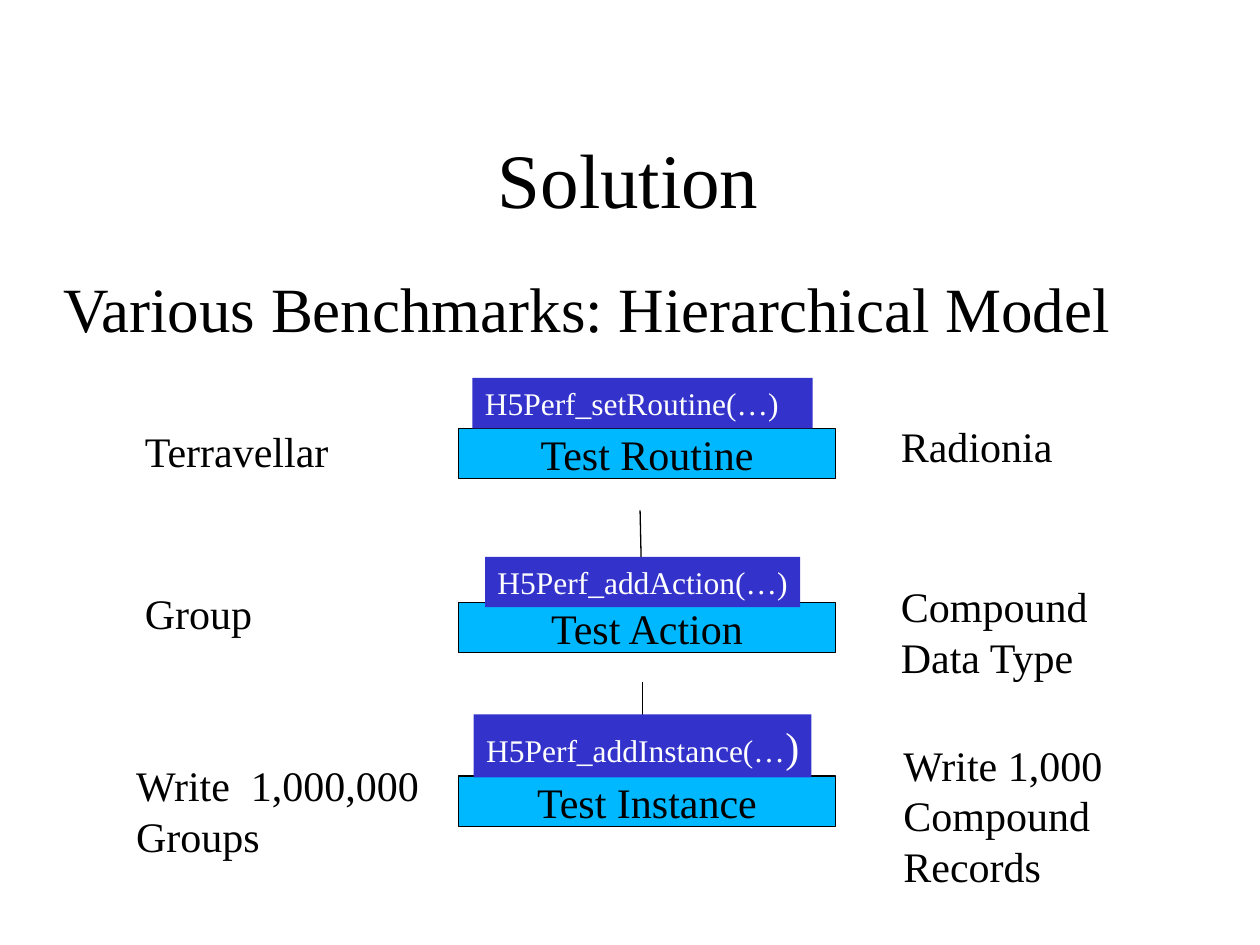
from dataclasses import dataclass

from pptx import Presentation
from pptx.dml.color import RGBColor
from pptx.enum.shapes import MSO_CONNECTOR, MSO_SHAPE
from pptx.enum.text import MSO_ANCHOR, MSO_AUTO_SIZE, PP_ALIGN
from pptx.oxml.ns import qn
from pptx.util import Inches, Pt
from lxml import etree

LEFT, CENTER = PP_ALIGN.LEFT, PP_ALIGN.CENTER
TOP, MIDDLE = MSO_ANCHOR.TOP, MSO_ANCHOR.MIDDLE
NO_FIT = MSO_AUTO_SIZE.NONE
RECT, ROUNDED = MSO_SHAPE.RECTANGLE, MSO_SHAPE.ROUNDED_RECTANGLE
STRAIGHT = MSO_CONNECTOR.STRAIGHT


@dataclass(frozen=True)
class Theme:
    font: str = "Times New Roman"
    ink: RGBColor = RGBColor(0x00, 0x00, 0x00)
    call_ink: RGBColor = RGBColor(0xFF, 0xFF, 0xFF)
    level_fill: RGBColor = RGBColor(0x00, 0xB8, 0xFF)
    call_fill: RGBColor = RGBColor(0x33, 0x33, 0xCC)
    title_size: int = 44
    heading_size: int = 36
    label_size: int = 24
    call_size: int = 18
    leading: float = 1.2
    heading_leading: float = 1.14
    line_width: float = 0.75


@dataclass(frozen=True)
class Box:
    left: float
    top: float
    width: float
    height: float

    def lengths(self) -> tuple:
        return tuple(map(Inches, (self.left, self.top, self.width, self.height)))


@dataclass(frozen=True)
class Label:
    text: str
    box: Box


@dataclass(frozen=True)
class Call:
    runs: tuple  # (text, size) pairs
    box: Box


@dataclass(frozen=True)
class Link:
    start: tuple
    end: tuple


THEME = Theme()
BAR_LEFT, BAR_TOP, BAR_PITCH = 3.64, 3.4, 1.38
BAR_WIDTH, BAR_HEIGHT = 2.99, 0.4

LEVELS = ("Test Routine", "Test Action", "Test Instance")
LINKS = (Link((5.08, 4.05), (5.09, 4.5)), Link((5.1, 5.41), (5.1, 5.87)))
EXAMPLES = (
    Label("Radionia", Box(7.15, 3.34, 1.82, 0.4)),
    Label("Compound Data Type", Box(7.15, 4.61, 1.82, 0.8)),
    Label("Write 1,000 Compound Records", Box(7.17, 5.87, 2.42, 1.2)),
    Label("Terravellar", Box(1.15, 3.38, 1.82, 0.4)),
    Label("Group", Box(1.15, 4.66, 1.82, 0.4)),
    Label("Write  1,000,000 Groups", Box(1.08, 6.03, 2.42, 0.8)),
)
CALLS = (
    Call((("H5Perf_setRoutine(…)", THEME.call_size),), Box(3.75, 3, 2.7, 0.4)),
    Call((("H5Perf_addAction(…)", THEME.call_size),), Box(3.85, 4.42, 2.5, 0.4)),
    Call((("H5Perf_addInstance(…", THEME.call_size), (")", THEME.label_size)),
         Box(3.76, 5.67, 2.68, 0.5)),
)


def apply(target, formats: dict) -> None:
    for name, value in formats.items():
        setattr(target, name, value)


def write(shape, runs: tuple, color=THEME.ink, align=LEFT, anchor=TOP,
          inset: tuple = (0, 0, 0, 0), leading: float = THEME.leading) -> None:
    """Write one paragraph of (text, size) runs into a shape."""
    frame = shape.text_frame
    left, top, right, bottom = map(Inches, inset)
    apply(frame, {
        "word_wrap": True, "auto_size": NO_FIT, "vertical_anchor": anchor,
        "margin_left": left, "margin_top": top,
        "margin_right": right, "margin_bottom": bottom,
    })
    paragraph = frame.paragraphs[0]
    largest = max(size for _, size in runs)
    apply(paragraph, {"alignment": align, "space_before": Pt(0),
                      "line_spacing": Pt(leading * largest)})
    for text, size in runs:
        run = paragraph.add_run()
        run.text = text
        apply(run.font, {"name": THEME.font, "size": Pt(size)})
        run.font.color.rgb = color


def place(placeholder, box: Box) -> None:
    apply(placeholder, dict(zip(("left", "top", "width", "height"), box.lengths())))


def add_panel(slide, kind, box: Box, fill: RGBColor):
    panel = slide.shapes.add_shape(kind, *box.lengths())
    panel.shadow.inherit = False
    panel.fill.solid()
    panel.fill.fore_color.rgb = fill
    return panel


def add_level(slide, text: str, box: Box) -> None:
    bar = add_panel(slide, ROUNDED, box, THEME.level_fill)
    bar.adjustments[0] = 0
    bar.line.color.rgb = THEME.ink
    bar.line.width = Pt(THEME.line_width)
    write(bar, ((text, THEME.label_size),), align=CENTER, anchor=MIDDLE)


def add_link(slide, link: Link) -> None:
    connector = slide.shapes.add_connector(
        STRAIGHT, *map(Inches, link.start + link.end))
    connector.line.color.rgb = THEME.ink
    connector.line.width = Pt(THEME.line_width)
    properties = connector._element.spPr
    etree.SubElement(properties.find(qn("a:ln")), qn("a:tailEnd"), type="oval")
    etree.SubElement(properties, qn("a:effectLst"))


def add_example(slide, label: Label) -> None:
    example = slide.shapes.add_textbox(*label.box.lengths())
    write(example, ((label.text, THEME.label_size),))


def add_call(slide, call: Call) -> None:
    panel = add_panel(slide, RECT, call.box, THEME.call_fill)
    panel.line.fill.background()
    write(panel, call.runs, color=THEME.call_ink, inset=(0.1, 0.05, 0, 0.05))


def main() -> None:
    presentation = Presentation()
    presentation.slide_width, presentation.slide_height = Inches(10), Inches(7.5)
    slide = presentation.slides.add_slide(presentation.slide_layouts[1])

    # Title and heading
    title, heading = slide.shapes.title, slide.placeholders[1]
    place(title, Box(3.95, 1.04, 2.43, 0.73))
    write(title, (("Solution", THEME.title_size),))
    place(heading, Box(0.5, 2.17, 8.67, 0.57))
    properties = heading.text_frame.paragraphs[0]._p.get_or_add_pPr()
    for name in ("marL", "indent"):
        properties.set(name, "0")
    etree.SubElement(properties, qn("a:buNone"))
    write(heading, (("Various Benchmarks: Hierarchical Model", THEME.heading_size),),
          leading=THEME.heading_leading)

    # Levels of the hierarchy
    for index, level in enumerate(LEVELS):
        top = BAR_TOP + index * BAR_PITCH
        add_level(slide, level, Box(BAR_LEFT, top, BAR_WIDTH, BAR_HEIGHT))

    # Links, examples on both sides, and the call behind each level
    for link in LINKS:
        add_link(slide, link)
    for example in EXAMPLES:
        add_example(slide, example)
    for call in CALLS:
        add_call(slide, call)

    presentation.save("out.pptx")


if __name__ == "__main__":
    main()
